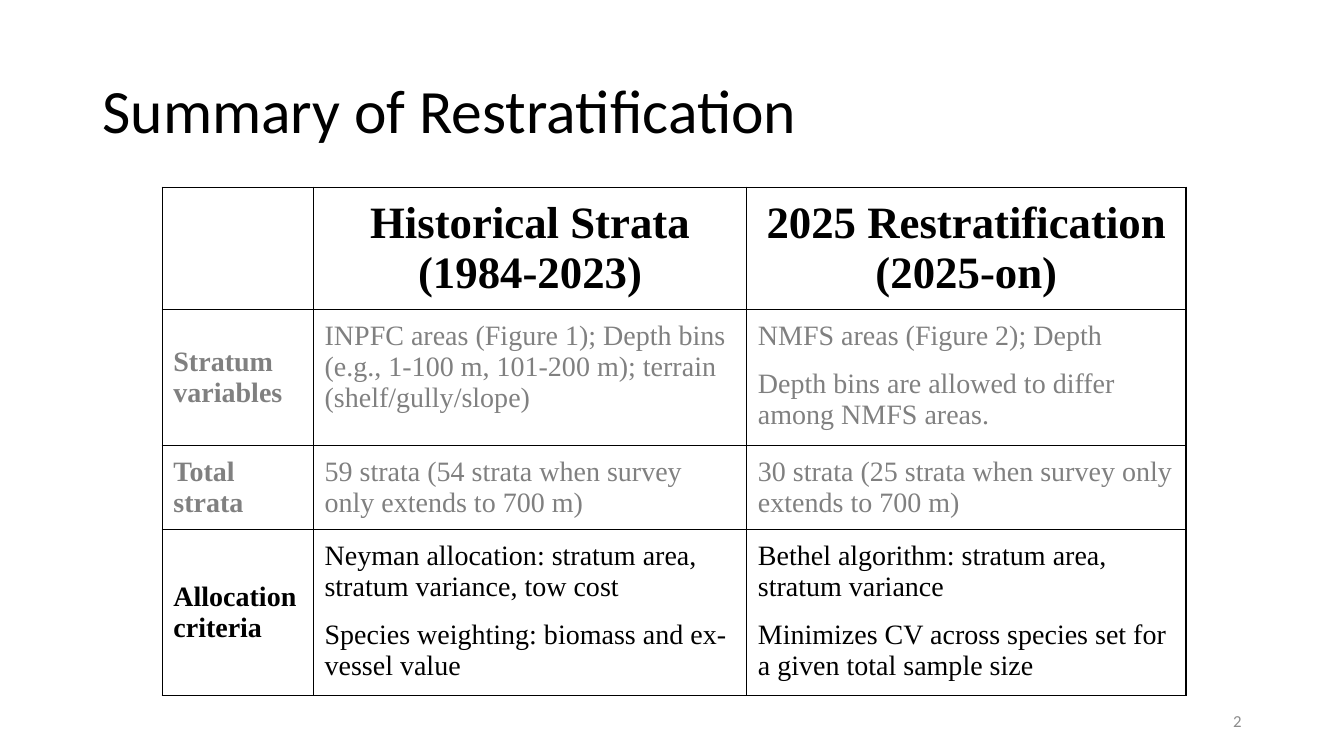
from dataclasses import dataclass

from lxml.etree import SubElement
from pptx import Presentation
from pptx.dml.color import RGBColor as Rgb
from pptx.enum.text import MSO_ANCHOR as Anchor, MSO_AUTO_SIZE as Fit, PP_ALIGN as Align
from pptx.oxml.ns import qn
from pptx.util import Cm, Pt


@dataclass(frozen=True)
class Theme:
    sans: str = "Calibri"
    serif: str = "Times New Roman"
    black: str = "000000"
    gray: str = "808080"
    pale: str = "8C8C8C"
    title: int = 44
    head: int = 32
    body: int = 20
    small: int = 12


T = Theme()


def write(frame, text, size, font=T.serif, color=T.black, bold=False,
          align=Align.LEFT, before=0, line=None):
    """Fill a text frame, one paragraph for each line of text."""
    frame.text = text
    frame.word_wrap = True
    for par in frame.paragraphs:
        par.alignment = align
        par.space_before = Pt(before)
        par.line_spacing = line
        face = par.font if not par.runs else par.runs[0].font
        face.name, face.size, face.bold = font, Pt(size), bold
        face.color.rgb = Rgb.from_string(color)


def border(cell, color=T.black, width=1):
    """Draw a solid line on all four sides of a cell."""
    props = cell._tc.get_or_add_tcPr()
    for side in ("lnL", "lnR", "lnT", "lnB"):
        edge = SubElement(props, qn(f"a:{side}"), w=str(Pt(width)))
        fill = SubElement(edge, qn("a:solidFill"))
        SubElement(fill, qn("a:srgbClr"), val=color)


# Slide
deck = Presentation()
deck.slide_width, deck.slide_height = Cm(33.87), Cm(19.05)
slide = deck.slides.add_slide(deck.slide_layouts[5])

# Title
title = slide.shapes.title
title.left, title.top, title.width, title.height = Cm(2.33), Cm(1.01), Cm(29.21), Cm(3.68)
write(title.text_frame, "Summary of Restratification", T.title, font=T.sans, line=0.9)
title.text_frame.vertical_anchor = Anchor.MIDDLE
title.text_frame.auto_size = Fit.NONE

# Strata table
rows = [
    ("", "Historical Strata (1984-2023)", "2025 Restratification (2025-on)"),
    ("Stratum variables",
     "INPFC areas (Figure 1); Depth bins (e.g., 1-100 m, 101-200 m); terrain (shelf/gully/slope)",
     "NMFS areas (Figure 2); Depth\nDepth bins are allowed to differ among NMFS areas."),
    ("Total strata",
     "59 strata (54 strata when survey only extends to 700 m)",
     "30 strata (25 strata when survey only extends to 700 m)"),
    ("Allocation criteria",
     "Neyman allocation: stratum area, stratum variance, tow cost\n"
     "Species weighting: biomass and ex-vessel value",
     "Bethel algorithm: stratum area, stratum variance\n"
     "Minimizes CV across species set for a given total sample size"),
]
wide = [3.81, 10.92, 11.07]
high = [2.95, 3.43, 2.03, 4.17]
grid = slide.shapes.add_table(len(rows), len(wide), Cm(4.09), Cm(4.72),
                              Cm(sum(wide)), Cm(sum(high))).table
grid.first_row = grid.horz_banding = False
for col, width in zip(grid.columns, wide):
    col.width = Cm(width)

for r, texts in enumerate(rows):
    grid.rows[r].height = Cm(high[r])
    head = r == 0
    for c, text in enumerate(texts):
        cell = grid.cell(r, c)
        border(cell)
        cell.fill.background()
        cell.margin_left = cell.margin_right = Cm(0.28)
        cell.margin_top = cell.margin_bottom = Cm(0.28)
        cell.vertical_anchor = Anchor.TOP if head or c else Anchor.MIDDLE
        write(cell.text_frame, text, T.head if head else T.body,
              color=T.gray if r in (1, 2) else T.black, bold=head or c == 0,
              align=Align.CENTER if head else Align.LEFT, before=12)

# Slide number
num = slide.shapes.add_textbox(Cm(23.92), Cm(17.66), Cm(7.62), Cm(1.01)).text_frame
write(num, "2", T.small, font=T.sans, color=T.pale, align=Align.RIGHT)
num.vertical_anchor = Anchor.MIDDLE

deck.save("out.pptx")
